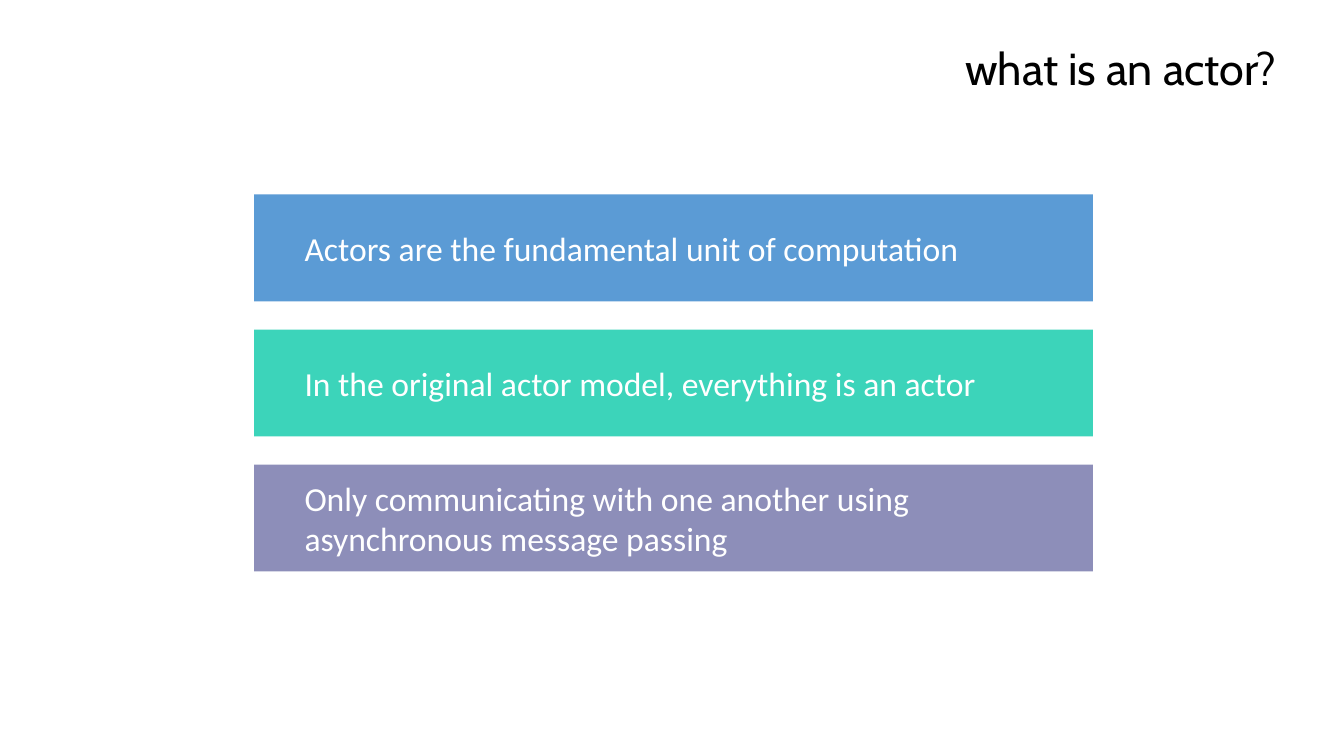
import pptx
import pptx.dml.color
import pptx.enum.shapes
import pptx.enum.text
import pptx.util
from pptx.util import Inches

STATEMENTS = [
    ("Actors are the fundamental unit of computation", "5B9BD5"),
    ("In the original actor model, everything is an actor", "3CD4BA"),
    ("Only communicating with one another using asynchronous message passing", "8D8EB9"),
]


def color(value):
    """Turn a hex string into a colour."""
    return pptx.dml.color.RGBColor.from_string(value)


def style_paragraph(paragraph, font_name, size, font_color, alignment):
    """Set the font and alignment of a paragraph."""
    paragraph.alignment = alignment
    paragraph.font.name = font_name
    paragraph.font.size = pptx.util.Pt(size)
    paragraph.font.color.rgb = color(font_color)


def add_title(slide, text, left, top, width, height):
    """Place the right-aligned title in its box."""
    frame = slide.shapes.add_textbox(left, top, width, height).text_frame
    frame.word_wrap = True
    frame.auto_size = pptx.enum.text.MSO_AUTO_SIZE.SHAPE_TO_FIT_TEXT
    frame.text = text
    style_paragraph(frame.paragraphs[0], "Cabin", 32, "000000", pptx.enum.text.PP_ALIGN.RIGHT)


def add_statement(slide, text, fill, left, top, width, height):
    """Place one coloured bar with its statement."""
    shape = slide.shapes.add_shape(
        pptx.enum.shapes.MSO_SHAPE.RECTANGLE, left, top, width, height)
    shape.shadow.inherit = False
    shape.fill.solid()
    shape.fill.fore_color.rgb = color(fill)
    shape.line.fill.background()
    frame = shape.text_frame
    frame.word_wrap = True
    frame.vertical_anchor = pptx.enum.text.MSO_ANCHOR.MIDDLE
    frame.margin_left = Inches(0.5)
    frame.text = text
    style_paragraph(frame.paragraphs[0], "Calibri", 24, "FFFFFF", pptx.enum.text.PP_ALIGN.LEFT)


def add_statements(slide, statements, left, top, width, height):
    """Stack the statement bars evenly in the given box."""
    bar_height = Inches(1.06)
    step = (height - bar_height) // (len(statements) - 1)
    for index, (text, fill) in enumerate(statements):
        add_statement(slide, text, fill, left, top + index * step, width, bar_height)


def main():
    """Build and save the slide."""
    presentation = pptx.Presentation()
    presentation.slide_width = Inches(13.33)
    presentation.slide_height = Inches(7.5)
    slide = presentation.slides.add_slide(presentation.slide_layouts[6])
    add_title(slide, "what is an actor?", Inches(3.73), Inches(0.35), Inches(9.03), Inches(0.64))
    add_statements(slide, STATEMENTS, Inches(2.52), Inches(1.93), Inches(8.32), Inches(3.74))
    presentation.save("out.pptx")


if __name__ == "__main__":
    main()
